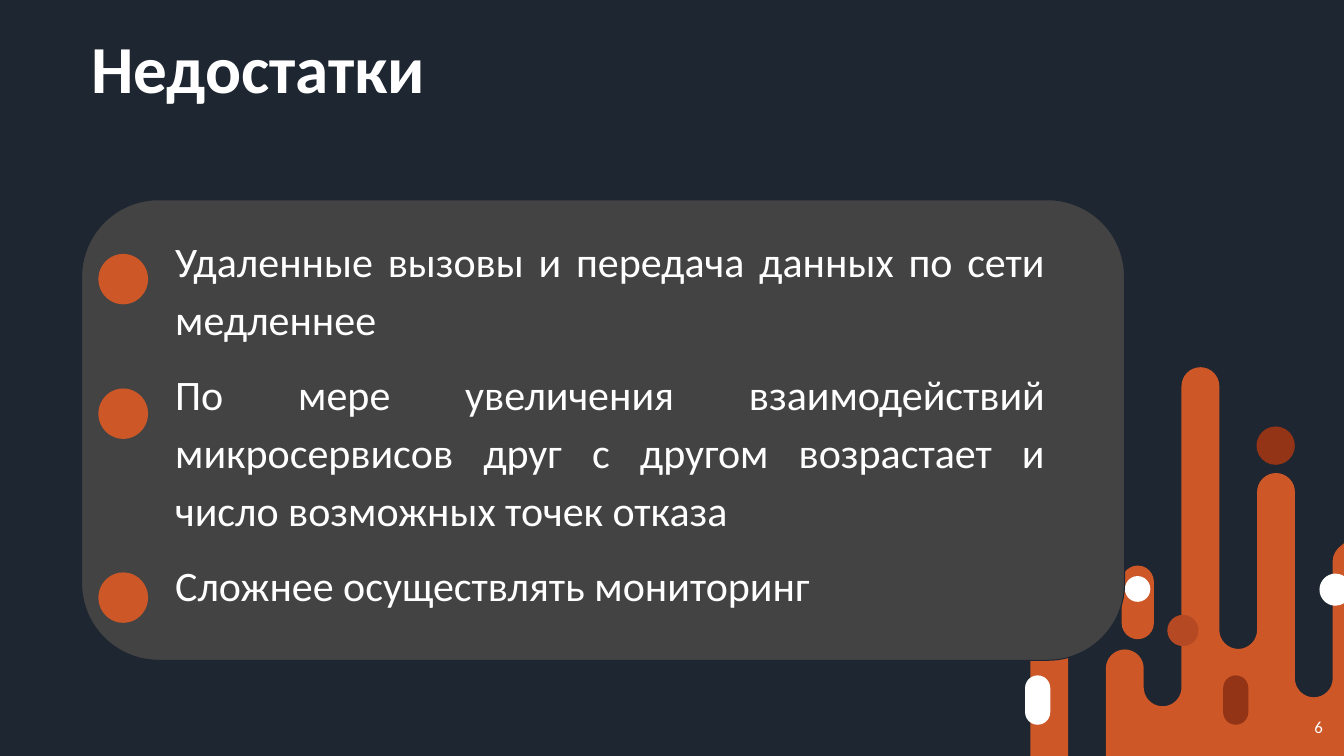
"""Build the slide on the drawbacks of microservices."""
import lxml.etree
import pptx
import pptx.util
import pptx.dml.color
import pptx.enum.shapes
import pptx.enum.text
import pptx.oxml.ns

Pt = pptx.util.Pt
RGB = pptx.dml.color.RGBColor.from_string
SHAPE = pptx.enum.shapes.MSO_SHAPE
ALIGN = pptx.enum.text.PP_ALIGN
ANCHOR = pptx.enum.text.MSO_ANCHOR
qn = pptx.oxml.ns.qn
COLORS = {"night": "1E2631", "panel": "434343", "orange": "CD5727",
          "rust": "B54923", "brick": "933416", "white": "FFFFFF"}
W, H = 960, 540


def paint(sp, color):
    """Give a shape a plain fill with no line and no shadow."""
    sp.shadow.inherit = False
    sp.fill.solid()
    sp.fill.fore_color.rgb = RGB(COLORS[color])
    sp.line.fill.background()


def draw(contours, color):
    """Draw contours of (x, y) corners and (x, y, cx, cy) quarter curves around cx, cy."""
    fb = s.shapes.build_freeform(*[v * 100 for v in contours[0][0]], scale=Pt(1) / 100)
    for i, contour in enumerate(contours):
        if i:
            fb.move_to(*[v * 100 for v in contour[0]])
        fb.add_line_segments([(v[0] * 100, v[1] * 100) for v in contour[1:]], close=True)
    sp = fb.convert_to_shape()
    paint(sp, color)
    steps = [e for e in sp._element.iter(qn("a:moveTo"), qn("a:lnTo"))]
    ends = [(int(e[0].get("x")), int(e[0].get("y"))) for e in steps]
    vertices = [v for contour in contours for v in contour]
    for i, (step, v) in enumerate(zip(steps, vertices)):
        if len(v) == 4:
            corner = [ends[i][k] + (v[k + 2] - v[k]) * 100 for k in (0, 1)]
            step.tag = qn("a:cubicBezTo")
            for at, end in enumerate([ends[i - 1], ends[i]]):
                x, y = [round(end[k] + 0.55 * (corner[k] - end[k])) for k in (0, 1)]
                pt = lxml.etree.Element(qn("a:pt"), x=str(x), y=str(y))
                step.insert(at, pt)


prs = pptx.Presentation()
prs.slide_width, prs.slide_height = Pt(W), Pt(H)
s = prs.slides.add_slide(prs.slide_layouts[6])
s.background.fill.solid()
s.background.fill.fore_color.rgb = RGB(COLORS["night"])

r_bar = 13.5
skyline = [(790, H)]
bar = [(736, H)]
caps = [(skyline, 790 + 2 * r_bar * i, y, -r_bar if i % 2 == 0 else r_bar)
        for i, y in enumerate([477.4, 491, 275.8, 450, 351.4, 484.6])]
for contour, x, y, rise in caps + [(bar, 736, 396, -r_bar)]:
    mid, right, tip = x + r_bar, x + 2 * r_bar, y + rise
    contour += [(x, y), (mid, tip, x, tip), (right, y, right, tip)]
skyline += [(952, 400.3), (958.3, 389.5, 952, 393.5), (W, 388), (W, H)]
bar.append((763, H))
draw([skyline, bar], "orange")

drops = [
    ("brick", SHAPE.ROUNDED_RECTANGLE, 897.5, 304.6, 27.4, 27.4),
    ("orange", SHAPE.ROUNDED_RECTANGLE, 801.2, 404, 23, 52.6),
    ("rust", SHAPE.OVAL, 833.8, 439.2, 22.3, 22.3),
    ("brick", SHAPE.ROUNDED_RECTANGLE, 873.7, 482.4, 18, 35.3),
    ("white", SHAPE.ROUNDED_RECTANGLE, 732.2, 482.4, 18, 35.3),
    ("white", SHAPE.OVAL, 803.5, 411.5, 18.2, 18.4),
]
for color, kind, x, y, w, h in drops:
    sp = s.shapes.add_shape(kind, Pt(x), Pt(y), Pt(w), Pt(h))
    if kind == SHAPE.ROUNDED_RECTANGLE:
        sp.adjustments[0] = 0.5
    paint(sp, color)

draw([[(W, 411.6), (954, 409.7, 957.5, 409.7), (942.5, 421.2, 942.5, 409.7),
       (954, 432.7, 942.5, 432.7), (W, 430.8, 957.5, 432.7)]], "white")

texts = [
    (["Недостатки"], 58.4, 0, 828, 102.4, 48, True, ALIGN.LEFT, ANCHOR.MIDDLE, 0.9),
    (["6"], 736, 505, 216, 28.8, 12, False, ALIGN.RIGHT, ANCHOR.MIDDLE, 1),
    (["Удаленные вызовы и передача данных по сети медленнее",
      "По мере увеличения взаимодействий микросервисов друг с другом "
      "возрастает и число возможных точек отказа",
      "Сложнее осуществлять мониторинг"],
     118, 159.5, 636, 36, 30, False, ALIGN.JUSTIFY, ANCHOR.TOP, 1.15),
]
for lines, x, y, w, h, size, bold, align, anchor, spacing in texts:
    if len(lines) > 1:
        panel = s.shapes.add_shape(SHAPE.ROUNDED_RECTANGLE, Pt(58.3), Pt(142.7), Pt(745), Pt(329))
        panel.adjustments[0] = 0.167
        paint(panel, "panel")
        panel.line.color.rgb = RGB(COLORS["night"])
        panel.line.width = Pt(0.75)
    tf = s.shapes.add_textbox(Pt(x), Pt(y), Pt(w), Pt(h)).text_frame
    tf.word_wrap = True
    tf.vertical_anchor = anchor
    for i, line in enumerate(lines):
        p = tf.paragraphs[0] if i == 0 else tf.add_paragraph()
        p.alignment = align
        p.line_spacing = spacing
        if i:
            p.space_before = Pt(12)
        r = p.add_run()
        r.text = line
        r.font.name = "Calibri"
        r.font.size = Pt(size)
        r.font.bold = bold
        r.font.color.rgb = RGB(COLORS["white"])

for y in [181.4, 277.5, 408.9]:
    paint(s.shapes.add_shape(SHAPE.OVAL, Pt(70.3), Pt(y), Pt(35.5), Pt(36)), "orange")

prs.save("out.pptx")
